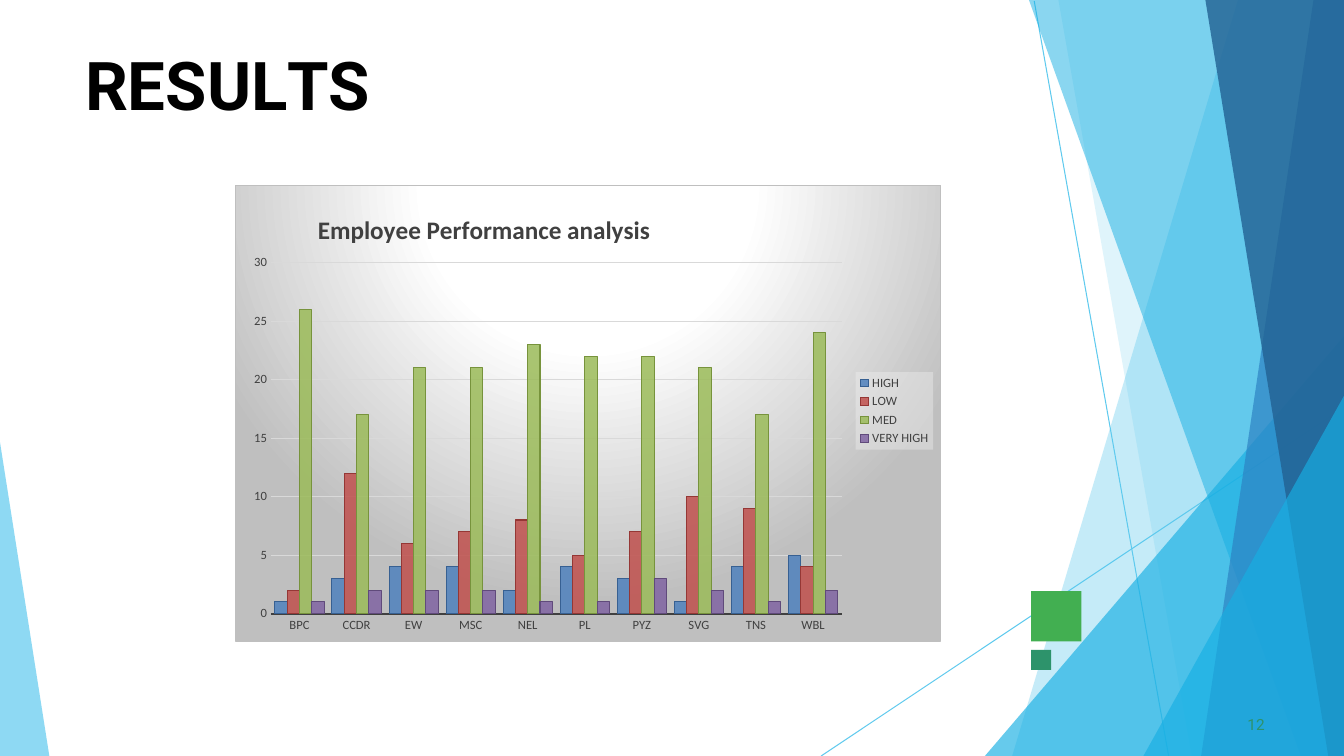
from dataclasses import dataclass

from lxml.etree import SubElement
from pptx import Presentation
from pptx.chart.data import CategoryChartData
from pptx.dml.color import RGBColor
from pptx.enum.chart import XL_CHART_TYPE, XL_LEGEND_POSITION, XL_TICK_MARK
from pptx.enum.shapes import MSO_CONNECTOR, MSO_SHAPE
from pptx.enum.text import MSO_ANCHOR, PP_ALIGN
from pptx.oxml import parse_xml
from pptx.oxml.ns import nsdecls, qn
from pptx.util import Pt

PX = 9525
W, H = 1280, 720


@dataclass(frozen=True)
class Theme:
    sky: str = "5FCAEE"
    cyan: str = "17AFE3"
    blue: str = "2D83C3"
    navy: str = "226192"
    green: str = "42AF51"
    teal: str = "2D936B"
    black: str = "000000"
    chart_text: str = "404040"
    grid: str = "D9D9D9"
    border: str = "BFBFBF"
    white: str = "FFFFFF"
    legend_fill: str = "F2F2F2"
    heading: str = "Roboto"
    chart_font: str = "Calibri"
    title_size: int = 48
    number_size: int = 11
    chart_title_size: int = 18
    label_size: int = 9


T = Theme()

RIGHT_FACETS = [
    (1179, 0, 964, T.sky, 36),
    (1008, 0, 1135, T.sky, 20),
    (1280, 320, 938, T.cyan, 66),
    (980, 0, 1239, T.cyan, 50),
    (1251, 0, 1144, T.blue, 70),
    (1148, 0, 1265, T.navy, 80),
    (1280, 377, 1089, T.cyan, 66),
]
TITLE_RUNS = [("R", 0), ("E", -40), ("S", 10), ("U", -30), ("L", -400), ("TS", 0)]
CATEGORIES = ["BPC", "CCDR", "EW", "MSC", "NEL", "PL", "PYZ", "SVG", "TNS", "WBL"]
SERIES = [
    ("HIGH", [1, 3, 4, 4, 2, 4, 3, 1, 4, 5], "4F81BD", "376092"),
    ("LOW", [2, 12, 6, 7, 8, 5, 7, 10, 9, 4], "C0504D", "953735"),
    ("MED", [26, 17, 21, 21, 23, 22, 22, 21, 17, 24], "9BBB59", "77933C"),
    ("VERY HIGH", [1, 2, 2, 2, 1, 1, 3, 2, 1, 2], "8064A2", "604A7B"),
]


def px(*values):
    return [v * PX for v in values]


def set_fill(fill, color, alpha=100):
    fill.solid()
    fill.fore_color.rgb = RGBColor.from_string(color)
    if alpha < 100:
        clr = fill._xPr.find(".//" + qn("a:srgbClr"))
        SubElement(clr, qn("a:alpha")).set("val", str(alpha * 1000))


def set_line(line, color, width):
    line.color.rgb = RGBColor.from_string(color)
    line.width = Pt(width)


def set_font(font, name, size, color, bold=False):
    font.name = name
    font.size = Pt(size)
    font.bold = bold
    font.color.rgb = RGBColor.from_string(color)


def add_facet(s, points, color, alpha):
    fb = s.shapes.build_freeform(*points[0], scale=PX)
    fb.add_line_segments(points[1:], close=True)
    sp = fb.convert_to_shape()
    sp.shadow.inherit = False
    set_fill(sp.fill, color, alpha)
    sp.line.fill.background()


def add_thin_line(s, x1, y1, x2, y2):
    cx = s.shapes.add_connector(MSO_CONNECTOR.STRAIGHT, *px(x1, y1, x2, y2))
    set_line(cx.line, T.sky, 0.75)
    SubElement(cx._element.spPr, qn("a:effectLst"))


def add_square(s, x, y, side, color):
    sp = s.shapes.add_shape(MSO_SHAPE.RECTANGLE, *px(x, y, side, side))
    sp.shadow.inherit = False
    set_fill(sp.fill, color)
    sp.line.fill.background()


def write_text(sp, box, runs, size, color, bold=False):
    sp.left, sp.top, sp.width, sp.height = px(*box)
    tf = sp.text_frame
    tf.word_wrap = True
    tf.vertical_anchor = MSO_ANCHOR.TOP
    tf.margin_left = tf.margin_right = tf.margin_bottom = 0
    tf.margin_top = PX
    p = tf.paragraphs[0]
    p.alignment = PP_ALIGN.LEFT
    p.space_before = Pt(1)
    for text, spacing in runs:
        r = p.add_run()
        r.text = text
        set_font(r.font, T.heading, size, color, bold)
        r._r.get_or_add_rPr().set("spc", str(spacing))


def make_layout(x, y, w=None, h=None, inner=False):
    target = '<c:layoutTarget val="inner"/>' if inner else ""
    modes = '<c:xMode val="edge"/><c:yMode val="edge"/>'
    sizes = "".join(f'<c:{k} val="{v}"/>' for k, v in zip("xywh", (x, y, w, h)) if v)
    return parse_xml(
        f'<c:layout {nsdecls("c")}><c:manualLayout>{target}{modes}{sizes}'
        "</c:manualLayout></c:layout>"
    )


def place(part, layout):
    old = part.find(qn("c:layout"))
    if old is not None:
        part.remove(old)
    overlay = part.find(qn("c:overlay"))
    if overlay is None:
        part.insert(0, layout)
    else:
        overlay.addprevious(layout)


def chart_background():
    stops = "".join(
        f'<a:gs pos="{pos * 1000}"><a:srgbClr val="{color}"/></a:gs>'
        for pos, color in [(0, T.white), (39, T.white), (100, T.border)]
    )
    return parse_xml(
        f'<c:spPr {nsdecls("c", "a")}><a:gradFill><a:gsLst>{stops}</a:gsLst>'
        '<a:path path="circle"><a:fillToRect l="50000" t="-80000" r="50000" b="180000"/></a:path>'
        f'</a:gradFill><a:ln w="9525"><a:solidFill><a:srgbClr val="{T.border}"/></a:solidFill></a:ln></c:spPr>'
    )


def legend_background():
    return parse_xml(
        f'<c:spPr {nsdecls("c", "a")}><a:solidFill><a:srgbClr val="{T.legend_fill}">'
        '<a:alpha val="39000"/></a:srgbClr></a:solidFill></c:spPr>'
    )


def style_axes(chart):
    cat, val = chart.category_axis, chart.value_axis
    for axis in (cat, val):
        axis.major_tick_mark = axis.minor_tick_mark = XL_TICK_MARK.NONE
        set_font(axis.tick_labels.font, T.chart_font, T.label_size, T.chart_text)
    set_line(cat.format.line, T.chart_text, 1.5)
    val.format.line.fill.background()
    val.minimum_scale, val.maximum_scale, val.major_unit = 0, 30, 5
    set_line(val.major_gridlines.format.line, T.grid, 0.75)


def style_legend(chart):
    chart.has_legend = True
    legend = chart.legend
    legend.position = XL_LEGEND_POSITION.RIGHT
    legend.include_in_layout = False
    set_font(legend.font, T.chart_font, T.label_size, T.chart_text)
    place(legend._element, make_layout(0.88, 0.41, 0.11, 0.17))
    legend._element.find(qn("c:overlay")).addnext(legend_background())


def add_results_chart(s):
    data = CategoryChartData()
    data.categories = CATEGORIES
    for name, values, _, _ in SERIES:
        data.add_series(name, values)
    box = px(224, 176, 672, 435)
    chart = s.shapes.add_chart(XL_CHART_TYPE.COLUMN_CLUSTERED, *box, data).chart
    set_font(chart.font, T.chart_font, 10, T.black)
    chart.has_title = True
    r = chart.chart_title.text_frame.paragraphs[0].add_run()
    r.text = "Employee Performance analysis"
    set_font(r.font, T.chart_font, T.chart_title_size, T.chart_text, True)
    place(chart.chart_title._element, make_layout(0.11, 0.05))
    plot = chart.plots[0]
    plot.gap_width, plot.overlap, plot.vary_by_categories = 65, 0, False
    for series, (_, _, color, edge) in zip(plot.series, SERIES):
        set_fill(series.format.fill, color, 85)
        set_line(series.format.line, edge, 0.75)
    style_axes(chart)
    style_legend(chart)
    body = chart._chartSpace.find(qn("c:chart"))
    place(body.find(qn("c:plotArea")), make_layout(0.05, 0.17, 0.81, 0.77, True))
    body.addnext(chart_background())


def main():
    prs = Presentation()
    prs.slide_width, prs.slide_height = px(W, H)
    s = prs.slides.add_slide(prs.slide_layouts[5])
    add_thin_line(s, 985, 1, 1113, H)
    add_thin_line(s, W, 388, 782, H)
    for x, y, foot, color, alpha in RIGHT_FACETS:
        add_facet(s, [(W, y), (x, y), (foot, H), (W, H)], color, alpha)
    add_facet(s, [(0, 421), (0, H), (47, H)], T.sky, 70)
    add_square(s, 982, 563, 48, T.green)
    add_square(s, 982, 619, 19, T.teal)
    write_text(s.shapes.title, (81, 40, 1120, 80), TITLE_RUNS, T.title_size, T.black, True)
    number = s.shapes.add_textbox(0, 0, 0, 0)
    write_text(number, (1188, 680, 24, 20), [("12", 10)], T.number_size, T.teal)
    add_results_chart(s)
    prs.save("out.pptx")


if __name__ == "__main__":
    main()
